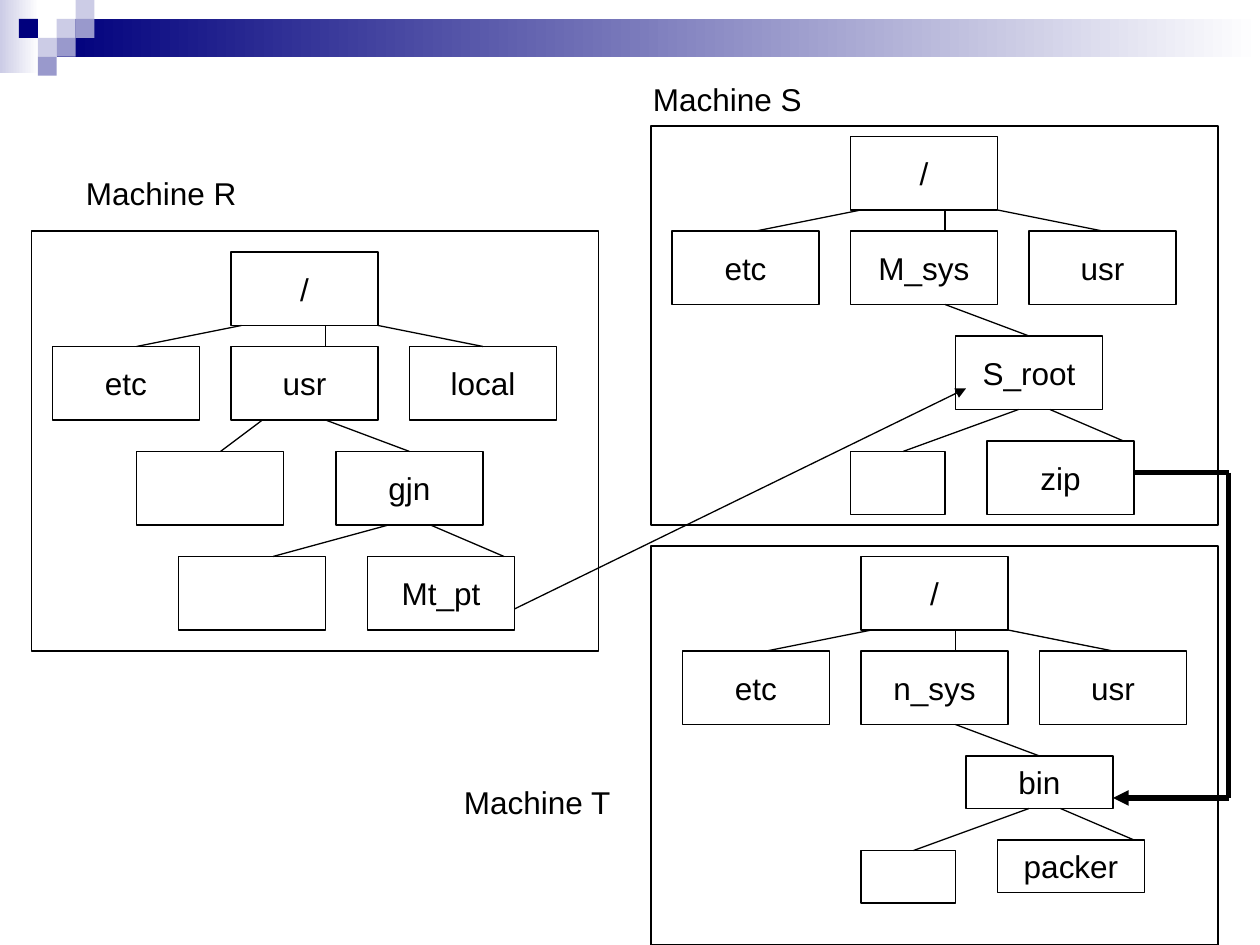
from pptx import Presentation
from pptx.dml.color import RGBColor as Rgb
from pptx.enum.shapes import MSO_CONNECTOR as Conn, MSO_SHAPE as Shape
from pptx.enum.text import MSO_ANCHOR as Anchor, MSO_AUTO_SIZE as Fit, PP_ALIGN as Align
from pptx.oxml.ns import qn
from pptx.util import Inches, Pt
from lxml.etree import SubElement as Sub

COLORS = {"ink": "000000", "paper": "FFFFFF", "navy": "00007D",
          "mid": "9999CC", "pale": "CCCCE6"}
FONT = {"name": "Arial", "size": Pt(18)}
BOX = {"word_wrap": False, "vertical_anchor": Anchor.MIDDLE}
LABEL = {"word_wrap": True, "auto_size": Fit.SHAPE_TO_FIT_TEXT}
WIDE, HIGH = 14, 7  # usual node size, in grid units


def unit(n):
    """Length of n grid units, twelve to the inch."""
    return Inches(n / 12)


def tint(key):
    return Rgb.from_string(COLORS[key])


def put(obj, values):
    for key, val in values.items():
        setattr(obj, key, val)


class Board:
    def __init__(self, slide):
        self.shapes = slide.shapes

    def rect(self, *area):
        shape = self.shapes.add_shape(Shape.RECTANGLE, *area)
        shape.shadow.inherit = False
        shape.line.fill.background()
        return shape

    def tile(self, key, *area):
        fill = self.rect(*map(Inches, area)).fill
        fill.solid()
        fill.fore_color.rgb = tint(key)

    def fade(self, key, *area):
        """Bar that fades from a colour at the left to white."""
        fill = self.rect(*map(Inches, area)).fill
        fill.gradient()
        fill.gradient_angle = 0
        for stop, name in zip(fill.gradient_stops, (key, "paper")):
            stop.color.rgb = tint(name)

    def text(self, shape, words, frame, para):
        put(shape.text_frame, frame)
        par = shape.text_frame.paragraphs[0]
        put(par, para)
        run = par.add_run()
        run.text = words
        put(run.font, FONT)
        run.font.color.rgb = tint("ink")

    def box(self, x, y, words="", wide=WIDE, high=HIGH):
        shape = self.rect(*map(unit, (x, y, wide, high)))
        shape.fill.background()
        self.stroke(shape.line, 0.75)
        if words:
            self.text(shape, words, BOX, {"alignment": Align.CENTER})

    def label(self, x, y, words, wide):
        shape = self.shapes.add_textbox(unit(x), unit(y), unit(wide), Inches(0.4))
        self.text(shape, words, LABEL, {"space_before": Pt(11.2)})

    def stroke(self, line, width):
        line.color.rgb = tint("ink")
        line.width = Pt(width)

    def link(self, x1, y1, x2, y2, width=0.75, arrow=False):
        conn = self.shapes.add_connector(Conn.STRAIGHT, *map(unit, (x1, y1, x2, y2)))
        self.stroke(conn.line, width)
        if arrow:
            Sub(conn.line._get_or_add_ln(), qn("a:tailEnd"), type="triangle")
        Sub(conn._element.spPr, qn("a:effectLst"))

    def top(self, x, y, names):
        """Root node at x, y with three named children."""
        self.box(x, y, "/")
        for i, name in enumerate(names):
            self.box(x + 17 * (i - 1), y + 9, name)
        for start, end in ((1, -9), (9, 9), (14, 24)):
            self.link(x + start, y + HIGH, x + end, y + 9)

    def branch(self, x, y, names, high, small):
        """Nodes below the middle child of the root at x, y."""
        mid, leaf = names
        base = y + 19 + high
        self.box(x + 10, y + 19, mid, high=high)
        self.box(x, base + 4, wide=9, high=small)
        self.box(x + 13, base + 3, leaf, high=high)
        self.link(x + 9, y + 16, x + 17, y + 19)
        self.link(x + 16, base, x + 5, base + 4)
        self.link(x + 19, base, x + 26, base + 3)


def banner(board):
    board.fade("pale", 0, 0, 0.31, 0.58)
    board.fade("navy", 0.45, 0.15, 9.55, 0.3)
    side = 0.15
    for key, col, row in (("pale", 3, 1), ("pale", 4, 0), ("mid", 4, 1), ("pale", 2, 2),
                          ("navy", 1, 1), ("mid", 3, 2), ("mid", 2, 3)):
        board.tile(key, col * side, row * side, side, side)


def machine_r(board):
    board.top(22, 24, ("etc", "usr", "local"))
    for node in ((13, 43), (32, 43, "gjn"), (17, 53), (35, 53, "Mt_pt")):
        board.box(*node)
    for ends in ((25, 40, 21, 43), (31, 40, 39, 43), (37, 50, 26, 53), (41, 50, 48, 53)):
        board.link(*ends)
    board.box(3, 22, wide=54, high=40)
    board.label(7, 16, "Machine R", 25)


def mounts(board):
    """Arrows from one machine to the next."""
    board.link(49, 58, 92, 37, arrow=True)
    board.link(108, 45, 117, 45, 3)
    board.link(117, 45, 117, 76, 2.75)
    board.link(117, 76, 106, 76, 3, arrow=True)


def main():
    deck = Presentation()
    deck.slide_width, deck.slide_height = Inches(10), Inches(7.5)
    board = Board(deck.slides.add_slide(deck.slide_layouts[6]))
    banner(board)
    machine_r(board)
    for x, y, mid, names, high, small in (
            (81, 13, "M_sys", ("S_root", "zip"), 7, 6),
            (82, 53, "n_sys", ("bin", "packer"), 5, 5)):
        board.top(x, y, ("etc", mid, "usr"))
        board.branch(x, y, names, high, small)
        board.box(62, y - 1, wide=54, high=38)
    board.label(61, 7, "Machine S", 25)
    board.label(43, 74, "Machine T", 17)
    mounts(board)
    deck.save("out.pptx")


if __name__ == "__main__":
    main()
